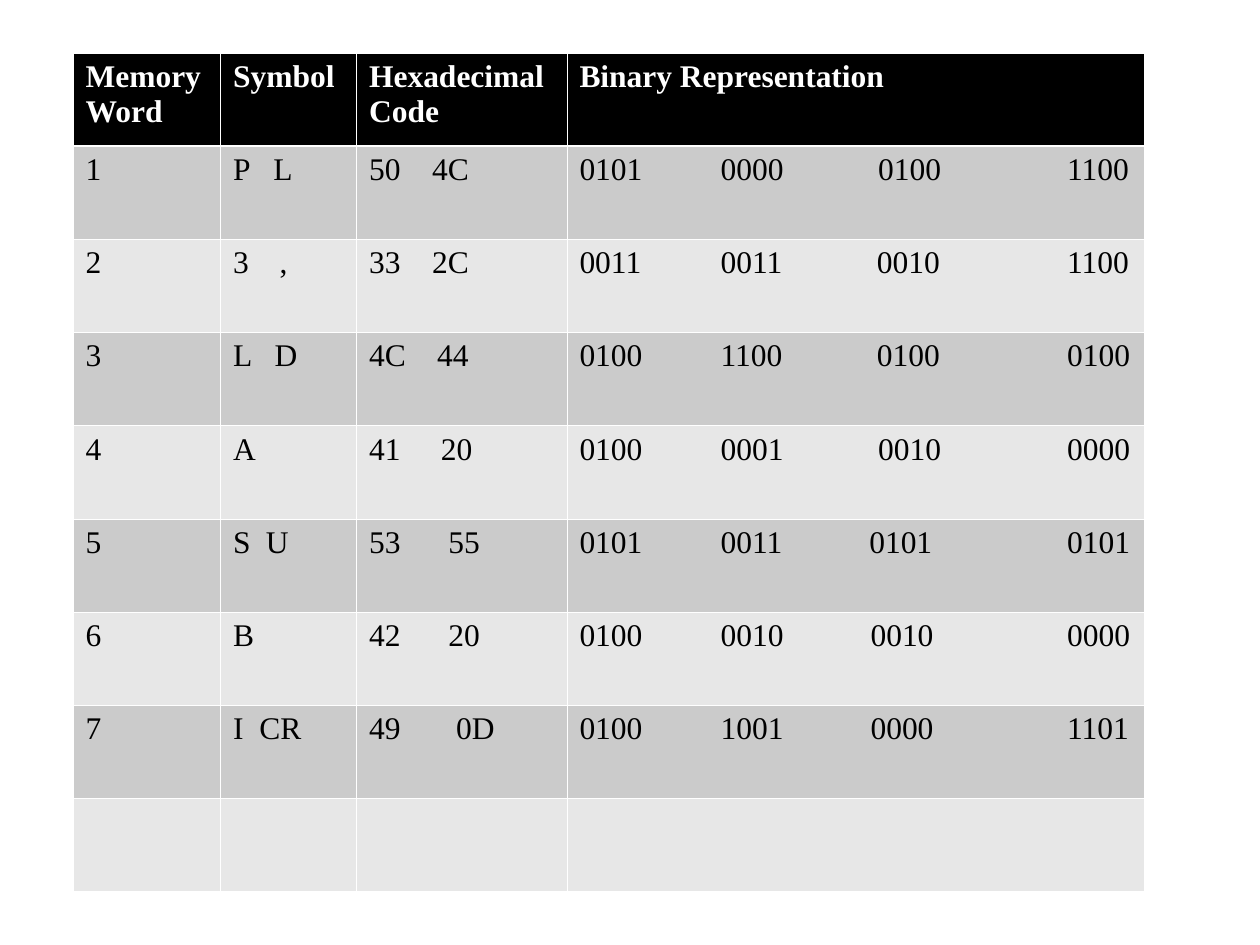
from lxml import etree
from pptx import Presentation
from pptx import util as u
from pptx.dml.color import RGBColor
from pptx.oxml.ns import qn

COLORS = {
    "header": "000000",
    "odd": "CBCBCB",
    "even": "E7E7E7",
    "border": "FFFFFF",
    "header_text": "FFFFFF",
    "body_text": "000000",
}
COLUMN_WIDTHS = [1.17, 1.08, 1.67, 4.58]
ROW_HEIGHT = 0.74
HEADINGS = ["Memory Word", "Symbol", "Hexadecimal Code", "Binary Representation"]

# Symbol, its tab stop; hexadecimal code, its tab stop; binary groups, their middle tab stop
MEMORY_WORDS = [
    ("P\tL", 0.32, "50\t4C", 0.5, "0101\t0000\t0100\t1100", 2.37),
    ("3\t,", 0.37, "33\t2C", 0.5, "0011\t0011\t0010\t1100", 2.36),
    ("L\tD", 0.33, "4C\t44", 0.54, "0100\t1100\t0100\t0100", 2.36),
    ("A", 0.32, "41\t20", 0.57, "0100\t0001\t0010\t0000", 2.37),
    ("S\tU", 0.26, "53\t55", 0.63, "0101\t0011\t0101\t0101", 2.3),
    ("B", 0.32, "42\t20", 0.63, "0100\t0010\t0010\t0000", 2.31),
    ("I\tCR", 0.21, "49\t0D", 0.69, "0100\t1001\t0000\t1101", 2.31),
]


class TableSlide:
    font_name = "Times New Roman"
    font_size = u.Pt(18)
    thin, thick = 0.45, 1.47

    def __init__(self, slide):
        self.slide = slide

    def table(self, left, top, widths, row_count):
        frame = self.slide.shapes.add_table(
            row_count, len(widths), u.Inches(left), u.Inches(top),
            u.Inches(sum(widths)), u.Inches(ROW_HEIGHT * row_count))
        for column, width in zip(frame.table.columns, widths):
            column.width = u.Inches(width)
        for row in frame.table.rows:
            row.height = u.Inches(ROW_HEIGHT)
        return frame.table

    def borders(self, cell, top, bottom):
        properties = cell._tc.get_or_add_tcPr()
        sides = {"lnL": self.thin, "lnR": self.thin, "lnT": top, "lnB": bottom}
        for side, points in sides.items():
            line = etree.SubElement(properties, qn(f"a:{side}"), w=str(u.Pt(points)))
            fill = etree.SubElement(line, qn("a:solidFill"))
            etree.SubElement(fill, qn("a:srgbClr"), val=COLORS["border"])

    def tab_stops(self, paragraph, stops):
        tabs = etree.SubElement(paragraph._p.get_or_add_pPr(), qn("a:tabLst"))
        for stop in stops:
            etree.SubElement(tabs, qn("a:tab"), pos=str(u.Inches(stop)), algn="l")

    def cell(self, cell, content, row, stops=()):
        header = row == 0
        self.borders(cell, self.thick if row == 1 else self.thin,
                     self.thick if header else self.thin)
        band = "header" if header else "odd" if row % 2 else "even"
        cell.fill.solid()
        cell.fill.fore_color.rgb = RGBColor.from_string(COLORS[band])
        paragraph = cell.text_frame.paragraphs[0]
        if content:
            paragraph.text = content
        if stops:
            self.tab_stops(paragraph, stops)
        font = paragraph.font
        font.name, font.size, font.bold = self.font_name, self.font_size, header
        font.color.rgb = RGBColor.from_string(
            COLORS["header_text" if header else "body_text"])


def main():
    presentation = Presentation()
    presentation.slide_width, presentation.slide_height = u.Inches(10), u.Inches(7.5)
    page = TableSlide(presentation.slides.add_slide(presentation.slide_layouts[6]))

    rows = [[(heading, ()) for heading in HEADINGS]]
    for number, word in enumerate(MEMORY_WORDS, start=1):
        symbol, symbol_stop, code, code_stop, binary, middle_stop = word
        rows.append([(str(number), ()), (symbol, [symbol_stop]), (code, [code_stop]),
                     (binary, [1.12, middle_stop, 3.87])])
    rows.append([("", ())] * len(HEADINGS))

    memory = page.table(0.58, 0.42, COLUMN_WIDTHS, len(rows))
    for row, entries in enumerate(rows):
        for column, (content, stops) in enumerate(entries):
            page.cell(memory.cell(row, column), content, row, stops)

    presentation.save("out.pptx")


if __name__ == "__main__":
    main()
